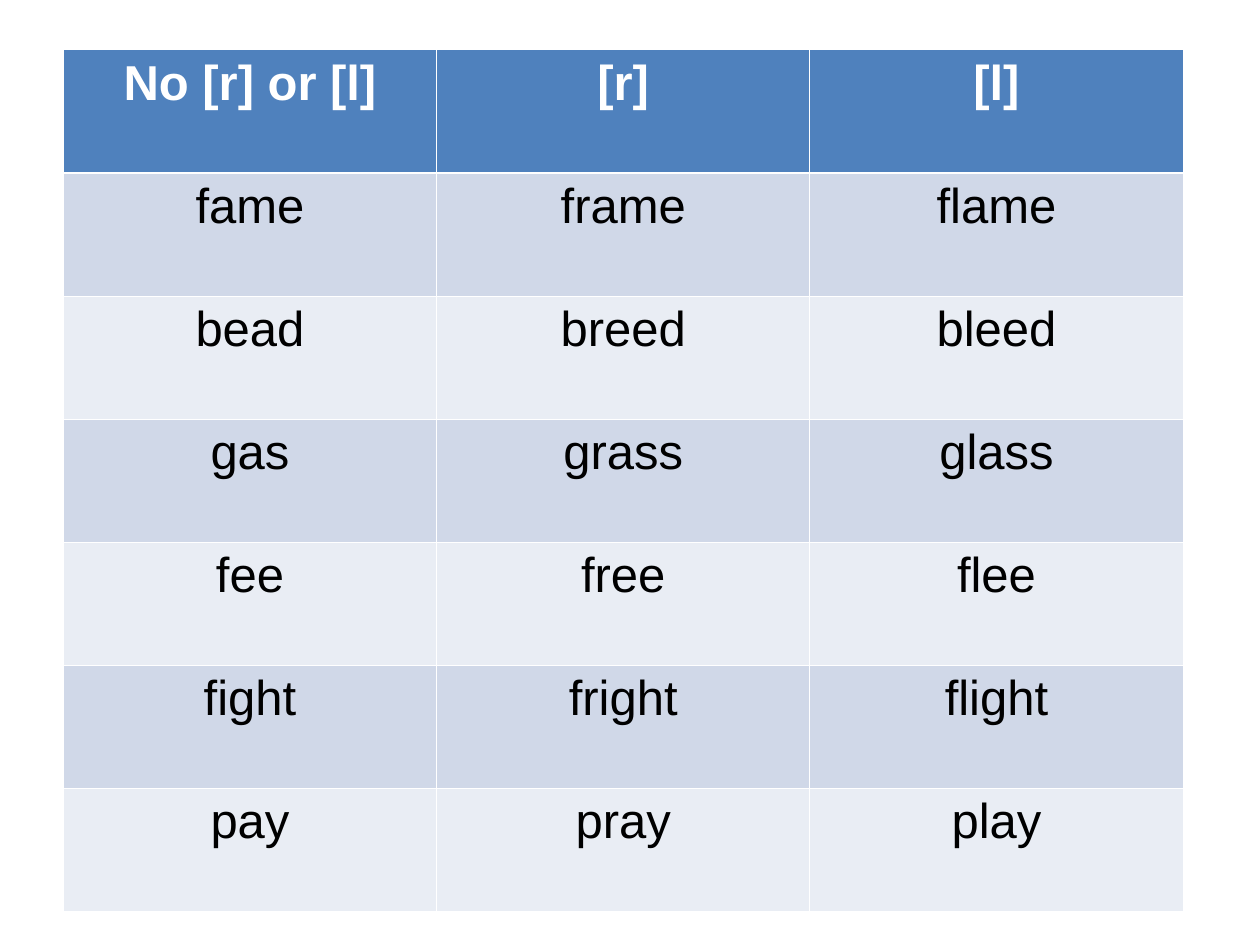
from dataclasses import dataclass

from lxml import etree
from pptx import Presentation
from pptx.dml.color import RGBColor
from pptx.enum.text import PP_ALIGN
from pptx.oxml.ns import qn
from pptx.util import Pt

CENTER = PP_ALIGN.CENTER

WHITE = RGBColor(0xFF, 0xFF, 0xFF)
BLACK = RGBColor(0x00, 0x00, 0x00)
BLUE = RGBColor(0x4F, 0x81, 0xBD)
MID = RGBColor(0xD0, 0xD8, 0xE8)
PALE = RGBColor(0xE9, 0xED, 0xF4)

LEFT, TOP = 36.2, 28.4
COL_W, ROW_H = 213.3, 70.35
THIN, THICK = 0.45, 1.47
FONT = {"name": "Arial", "size": Pt(28)}


@dataclass(frozen=True)
class Style:
    fill: RGBColor
    ink: RGBColor = BLACK
    bold: bool = False
    above: float = THIN
    below: float = THIN


HEAD = Style(BLUE, WHITE, True, below=THICK)
FIRST = Style(MID, above=THICK)
BANDS = (Style(PALE), Style(MID))

WORDS = (
    ("No [r] or [l]", "[r]", "[l]"),
    ("fame", "frame", "flame"),
    ("bead", "breed", "bleed"),
    ("gas", "grass", "glass"),
    ("fee", "free", "flee"),
    ("fight", "fright", "flight"),
    ("pay", "pray", "play"),
)


def pick_style(row: int) -> Style:
    """Return the header, first-row or banded style for a row."""
    if row < 2:
        return (HEAD, FIRST)[row]
    return BANDS[row % 2]


def add_borders(cell, style: Style) -> None:
    props = cell._tc.get_or_add_tcPr()
    widths = {"lnL": THIN, "lnR": THIN, "lnT": style.above, "lnB": style.below}
    for side, width in widths.items():
        line = etree.SubElement(props, qn(f"a:{side}"), w=str(Pt(width)))
        fill = etree.SubElement(line, qn("a:solidFill"))
        etree.SubElement(fill, qn("a:srgbClr"), val=str(WHITE))


def fill_cell(cell, text: str, style: Style) -> None:
    add_borders(cell, style)
    cell.fill.solid()
    cell.fill.fore_color.rgb = style.fill
    para = cell.text_frame.paragraphs[0]
    para.alignment = CENTER
    run = para.add_run()
    run.text = text
    for key, value in {**FONT, "bold": style.bold}.items():
        setattr(run.font, key, value)
    run.font.color.rgb = style.ink


def add_words(slide) -> None:
    rows, cols = len(WORDS), len(WORDS[0])
    table = slide.shapes.add_table(
        rows, cols, Pt(LEFT), Pt(TOP), Pt(COL_W * cols), Pt(ROW_H * rows)
    ).table
    for col in table.columns:
        col.width = Pt(COL_W)
    for row in table.rows:
        row.height = Pt(ROW_H)
    for r, words in enumerate(WORDS):
        for c, word in enumerate(words):
            fill_cell(table.cell(r, c), word, pick_style(r))


def main() -> None:
    deck = Presentation()
    deck.slide_width, deck.slide_height = Pt(720), Pt(540)
    add_words(deck.slides.add_slide(deck.slide_layouts[6]))
    deck.save("out.pptx")


if __name__ == "__main__":
    main()
